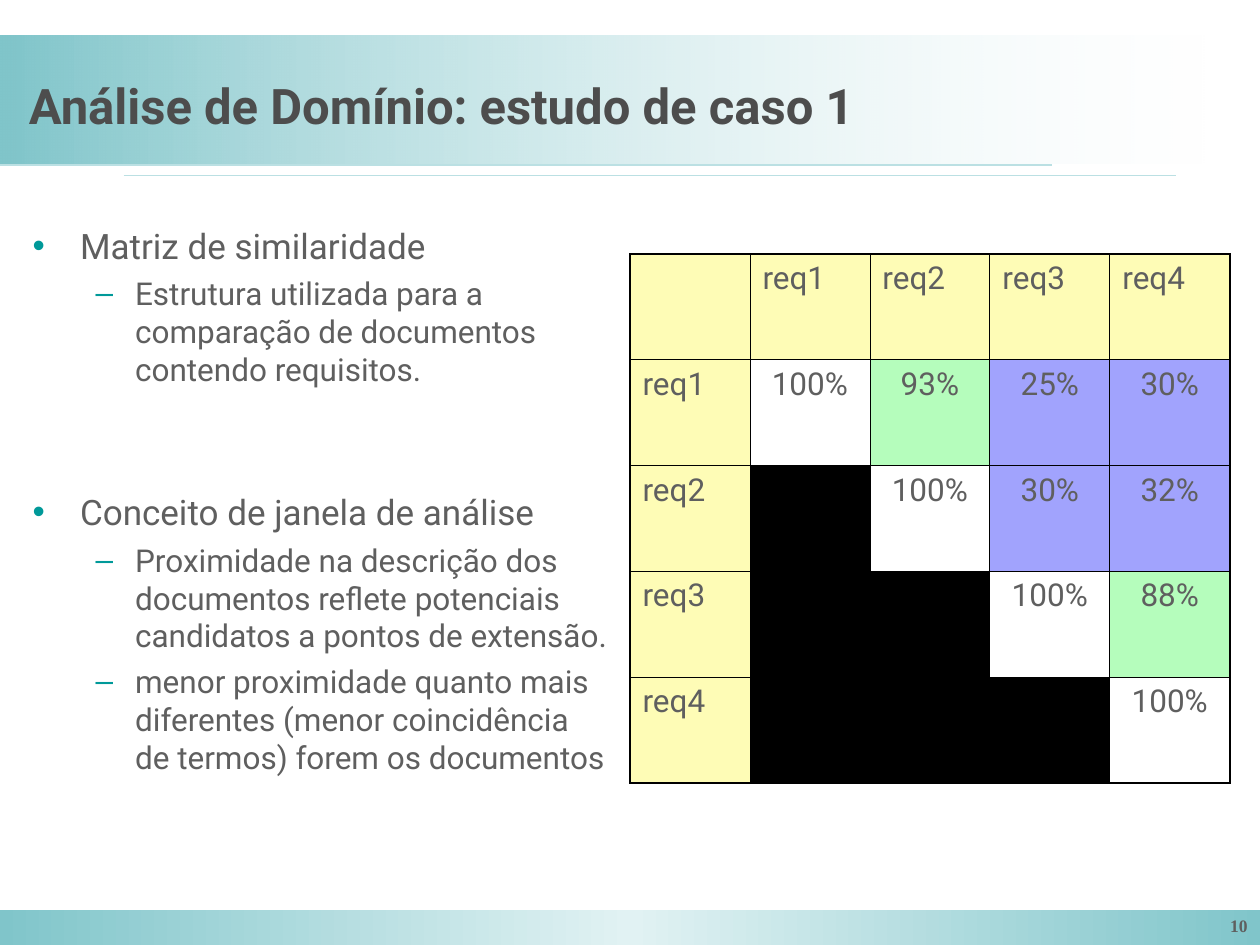
from lxml import etree
from pptx import Presentation
from pptx.dml.color import RGBColor
from pptx.enum import shapes, text
from pptx.oxml.ns import qn
from pptx.util import Pt

GRAY, TEAL, BLACK = "5F5F5F", "80C5CA", "000000"


def rgb(value):
    return RGBColor.from_string(value)


def style(p, size, color=GRAY, name="Roboto", bold=False):
    for r in p.runs:
        r.font.size, r.font.name, r.font.bold = Pt(size), name, bold
        r.font.color.rgb = rgb(color)


prs = Presentation()
prs.slide_width, prs.slide_height = Pt(720), Pt(540)
s = prs.slides.add_slide(prs.slide_layouts[1])
title, body = s.shapes.title, s.placeholders[1]

# Gradient bands: box, then stops as (position, colour, opacity)
bands = [
    ((0, 519.84, 720, 20.16), [(0, TEAL, 100), (50, "E1F2F3", 100), (100, TEAL, 100)]),
    ((0, 20.16, 689.76, 73.44), [(0, TEAL, 100), (100, "E1F2F3", 0)]),
]
for box, stops in bands:
    sp = s.shapes.add_shape(shapes.MSO_SHAPE.RECTANGLE, *map(Pt, box))
    sp.shadow.inherit = False
    sp.line.fill.background()
    sp.fill.gradient()
    sp.fill.gradient_angle = 0
    gs_list = sp._element.spPr.find(".//" + qn("a:gsLst"))
    for gs in list(gs_list):
        gs_list.remove(gs)
    for pos, color, opacity in stops:
        gs = etree.SubElement(gs_list, qn("a:gs"), pos=str(pos * 1000))
        clr = etree.SubElement(gs, qn("a:srgbClr"), val=color)
        if opacity < 100:
            etree.SubElement(clr, qn("a:alpha"), val=str(opacity * 1000))

# Rules under the title
for x, y in [(0, 94.3), (70.6, 100.1)]:
    line = s.shapes.add_connector(shapes.MSO_CONNECTOR.STRAIGHT,
                                  Pt(x), Pt(y), Pt(x + 601.2), Pt(y))
    line.line.color.rgb = rgb("BBE0E3")
    line.line.width = Pt(0.75)
    etree.SubElement(line._element.spPr, qn("a:effectLst"))

# Title and body go in front of the bands
for sp, box in [(title, (9.36, 23.76, 680.4, 72.72)), (body, (11.52, 124.56, 342.72, 396.72))]:
    s.shapes._spTree.append(sp._element)
    sp.left, sp.top, sp.width, sp.height = map(Pt, box)
    sp.text_frame.auto_size = text.MSO_AUTO_SIZE.NONE

title.text_frame.text = "Análise de Domínio: estudo de caso 1"
title.text_frame.vertical_anchor = text.MSO_ANCHOR.MIDDLE
p = title.text_frame.paragraphs[0]
p.alignment = text.PP_ALIGN.LEFT
style(p, 28, "4D4D4D", bold=True)

# Bulleted list: level, space before, text
items = [
    (0, 0, "Matriz de similaridade"),
    (1, 4.5, "Estrutura utilizada para a comparação de documentos contendo requisitos."),
    (0, 59, "Conceito de janela de análise"),
    (1, 4.5, "Proximidade na descrição dos documentos reflete potenciais candidatos a pontos de extensão."),
    (1, 4.5, "menor proximidade quanto mais diferentes (menor coincidência de termos) forem os documentos"),
]
levels = [("•", 27, -27, 20), ("–", 58.5, -22.5, 18)]
tf = body.text_frame
for i, (level, before, words) in enumerate(items):
    p = tf.paragraphs[0] if i == 0 else tf.add_paragraph()
    p.text, p.level = words, level
    bullet, margin, indent, size = levels[level]
    pPr = p._p.get_or_add_pPr()
    pPr.set("marL", str(Pt(margin)))
    pPr.set("indent", str(Pt(indent)))
    color = etree.SubElement(pPr, qn("a:buClr"))
    etree.SubElement(color, qn("a:srgbClr"), val="009999")
    etree.SubElement(pPr, qn("a:buChar"), char=bullet)
    p.space_before = Pt(before)
    style(p, size)

# Similarity matrix
rows = [
    ["", "req1", "req2", "req3", "req4"],
    ["req1", "100%", "93%", "25%", "30%"],
    ["req2", "", "100%", "30%", "32%"],
    ["req3", "", "", "100%", "88%"],
    ["req4", "", "", "", "100%"],
]
n = len(rows)
table = s.shapes.add_table(n, n, Pt(360), Pt(145.2), Pt(342.75), Pt(302.25)).table
table.first_row = table.horz_banding = False
for k in range(n):
    table.columns[k].width, table.rows[k].height = Pt(68.55), Pt(60.45)

for i, row in enumerate(rows):
    for j, words in enumerate(row):
        cell = table.cell(i, j)
        header = i == 0 or j == 0
        # Thick outer border, thin inner lines
        tcPr = cell._tc.get_or_add_tcPr()
        edges = [("L", j == 0), ("R", j == n - 1), ("T", i == 0), ("B", i == n - 1)]
        for side, outer in edges:
            ln = etree.SubElement(tcPr, qn("a:ln" + side), w=str(Pt(1.08 if outer else 0.45)))
            fill = etree.SubElement(ln, qn("a:solidFill"))
            etree.SubElement(fill, qn("a:srgbClr"), val=BLACK)
        # Colour by similarity
        if header:
            color = "FEFCB6"
        elif j < i:
            color = BLACK
        elif i == j:
            color = "FFFFFF"
        else:
            color = "B5FDBC" if int(words.rstrip("%")) > 50 else "A1A3FD"
        cell.fill.solid()
        cell.fill.fore_color.rgb = rgb(color)
        cell.text_frame.text = words
        p = cell.text_frame.paragraphs[0]
        p.alignment = text.PP_ALIGN.LEFT if header else text.PP_ALIGN.CENTER
        style(p, 18)

# Slide number
tf = s.shapes.add_textbox(Pt(628.56), Pt(519.12), Pt(91.44), Pt(20.16)).text_frame
tf.word_wrap = True
tf.text = "10"
tf.paragraphs[0].alignment = text.PP_ALIGN.RIGHT
style(tf.paragraphs[0], 10, name="Times New Roman", bold=True)

prs.save("out.pptx")
